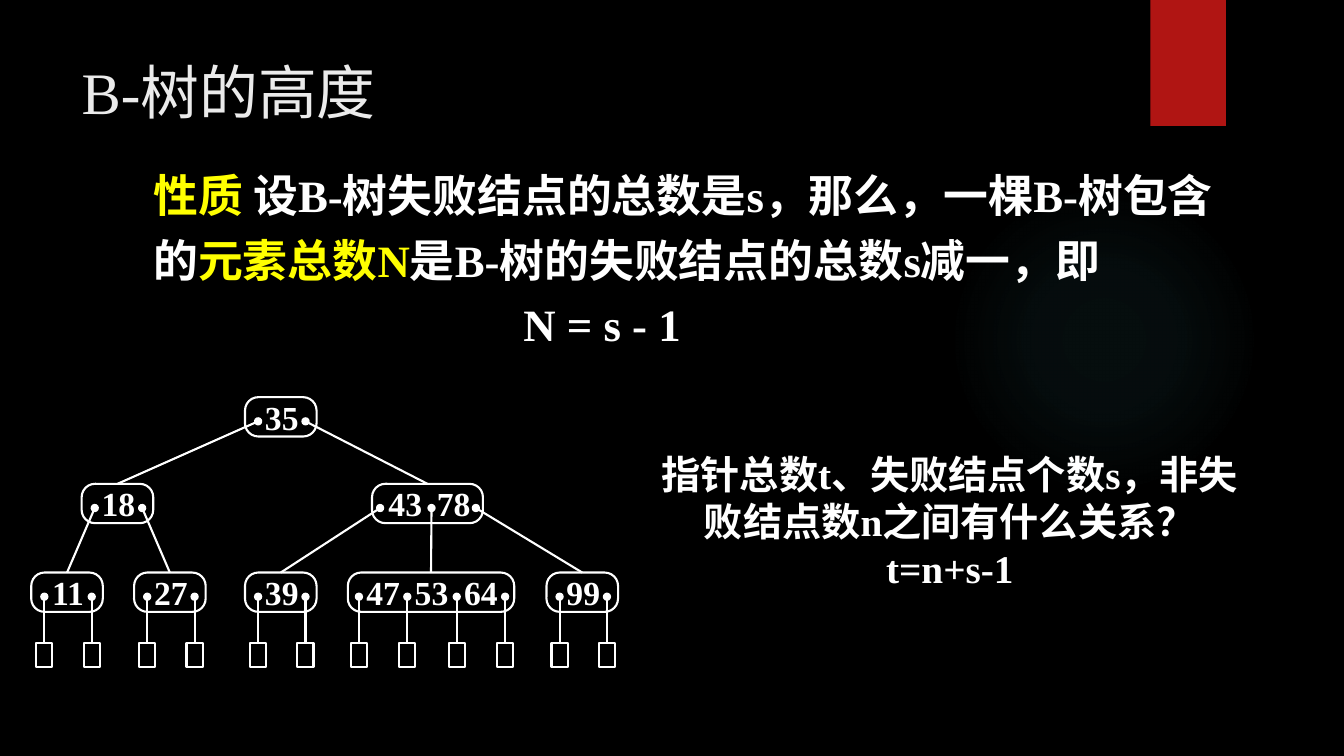
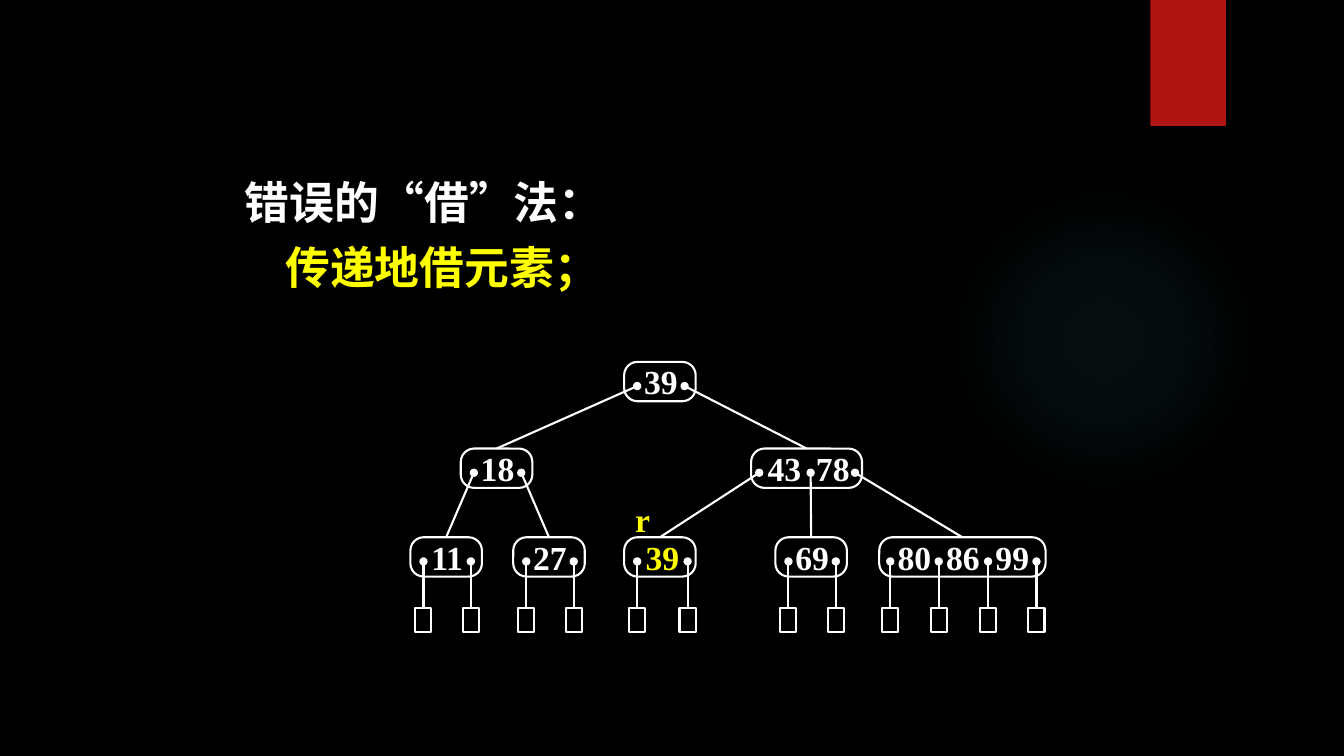
from dataclasses import dataclass
from itertools import pairwise

from lxml import etree
from pptx import Presentation
from pptx.dml.color import RGBColor
from pptx.enum import shapes, text
from pptx.oxml import parse_xml
from pptx.oxml.ns import nsdecls, qn
from pptx.util import Pt

PX = 9144
BLACK = RGBColor(0x00, 0x00, 0x00)
WHITE = RGBColor(0xFF, 0xFF, 0xFF)
YELLOW = RGBColor(0xFF, 0xFF, 0x00)
TITLE_GREY = RGBColor(0xEB, 0xEB, 0xEB)
RED = RGBColor(0xB0, 0x15, 0x13)
TEAL = RGBColor(0x50, 0xB9, 0xC1)
LATIN, HAN = "Times New Roman", "Noto Sans CJK SC"
LEVEL_TOPS = (0, 86, 174)
NODE_HEIGHT, POINTER_DROP, KEY_WIDTH = 39, 24, 40
FAILURE_TOP, FAILURE_WIDTH, FAILURE_HEIGHT = 244, 16, 24
NARROW, MIDDLE, WIDE = 71, 110, 165


@dataclass
class Node:
    """A tree node, with its left edge and pointers in px."""
    keys: tuple
    left: int
    width: int = NARROW
    pointers: tuple = (13, 60)
    children: tuple = ()
    color: RGBColor = WHITE


def emu(*lengths):
    """Turn px lengths into EMU."""
    return [length * PX for length in lengths]


def write(frame, paragraphs, size, color=WHITE, bold=True, align=text.PP_ALIGN.LEFT,
          spacing=1.0, indents=()):
    """Fill a frame with paragraphs, each a list of (words, colour or None) runs."""
    frame.word_wrap = True
    frame.auto_size = text.MSO_AUTO_SIZE.NONE
    for index, runs in enumerate(paragraphs):
        paragraph = frame.add_paragraph() if index else frame.paragraphs[0]
        properties = paragraph._p.get_or_add_pPr()
        properties.set("marL", str(indents[index] * PX if indents else 0))
        properties.set("indent", "0")
        etree.SubElement(properties, qn("a:buNone"))
        paragraph.alignment = align
        paragraph.line_spacing = spacing
        paragraph.space_before = Pt(0)
        for words, run_color in runs:
            run = paragraph.add_run()
            run.text = words
            run.font.name = LATIN
            run.font.size = Pt(size)
            run.font.bold = bold
            run.font.color.rgb = run_color or color
            etree.SubElement(run._r.get_or_add_rPr(), qn("a:ea"), typeface=HAN)


def place(placeholder, box):
    """Move a placeholder to a box and anchor its text at the top."""
    placeholder.left, placeholder.top, placeholder.width, placeholder.height = emu(*box)
    placeholder.text_frame.vertical_anchor = text.MSO_ANCHOR.TOP
    return placeholder.text_frame


def add_label(slide, box, paragraphs, **style):
    """Add a text box."""
    write(slide.shapes.add_textbox(*emu(*box)).text_frame, paragraphs, **style)


def write_key(frame, key, color, shift=0):
    """Centre a key in a frame without margins, moved right by half the shift."""
    frame.margin_left = shift * PX
    frame.margin_right = frame.margin_top = frame.margin_bottom = 0
    frame.vertical_anchor = text.MSO_ANCHOR.MIDDLE
    write(frame, [[(str(key), None)]], size=24, color=color, align=text.PP_ALIGN.CENTER)


def add_keys(slide, outline, node, left, top):
    """Set each key of a node midway between its two pointers."""
    if len(node.keys) == 1:
        write_key(outline.text_frame, node.keys[0], node.color,
                  shift=sum(node.pointers) - node.width)
        return
    for key, (start, end) in zip(node.keys, pairwise(node.pointers)):
        key_left = left + (start + end - KEY_WIDTH) // 2
        label = slide.shapes.add_textbox(*emu(key_left, top, KEY_WIDTH, NODE_HEIGHT))
        write_key(label.text_frame, key, node.color)


def add_outline(slide, kind, box):
    """Add an unfilled shape with a white outline."""
    shape = slide.shapes.add_shape(kind, *emu(*box))
    shape.shadow.inherit = False
    shape.fill.background()
    shape.line.color.rgb = WHITE
    shape.line.width = Pt(1.5)
    return shape


def add_pointer(slide, x, y, target):
    """Draw a line from a dot to the top of a target shape."""
    pointer = slide.shapes.add_connector(shapes.MSO_CONNECTOR.STRAIGHT, *emu(x, y, x, y))
    pointer.end_connect(target, 0)
    pointer.line.color.rgb = WHITE
    pointer.line.width = Pt(1.5)
    etree.SubElement(pointer.line._get_or_add_ln(), qn("a:headEnd"), type="oval")
    etree.SubElement(pointer._element.spPr, qn("a:effectLst"))


def add_tree(slide, origin, node, depth=0):
    """Draw a node with all that hangs below it and return its shape."""
    left, top = origin[0] + node.left, origin[1] + LEVEL_TOPS[depth]
    outline = add_outline(slide, shapes.MSO_SHAPE.ROUNDED_RECTANGLE,
                          (left, top, node.width, NODE_HEIGHT))
    outline.adjustments[0] = 0.34
    add_keys(slide, outline, node, left, top)
    for index, offset in enumerate(node.pointers):
        x = left + offset
        if node.children:
            target = add_tree(slide, origin, node.children[index], depth + 1)
        else:
            target = add_outline(slide, shapes.MSO_SHAPE.RECTANGLE,
                                 (x - FAILURE_WIDTH // 2, origin[1] + FAILURE_TOP,
                                  FAILURE_WIDTH, FAILURE_HEIGHT))
        add_pointer(slide, x, top + POINTER_DROP, target)
    return outline


def b_tree(root_key, *right_leaves):
    """Build the three-level tree around its differing root and right leaves."""
    return Node((root_key,), 212, children=(
        Node((18,), 50, children=(Node((11,), 0), Node((27,), 102))),
        Node((43, 78), 338, MIDDLE, (8, 59, 103), right_leaves)))


def wide_leaf(keys, left):
    """Build a leaf of three keys."""
    return Node(keys, left, WIDE, (11, 59, 108, 156))


def decorate_master(master, slide):
    """Give the master its background, glow and red band."""
    master.background.fill.solid()
    master.background.fill.fore_color.rgb = BLACK
    glow = slide.shapes.add_shape(shapes.MSO_SHAPE.OVAL, *emu(941, 183, 308, 308))
    band = slide.shapes.add_shape(shapes.MSO_SHAPE.RECTANGLE, *emu(1141, 0, 75, 125))
    band.fill.solid()
    band.fill.fore_color.rgb = RED
    stops = "".join(
        f'<a:gs pos="{position}000"><a:srgbClr val="{TEAL}"><a:alpha val="{alpha}000"/>'
        "</a:srgbClr></a:gs>" for position, alpha in ((0, 7), (36, 6), (69, 0)))
    glow._element.spPr.append(parse_xml(
        f'<a:gradFill {nsdecls("a")}><a:gsLst>{stops}</a:gsLst><a:path path="circle">'
        '<a:fillToRect l="50000" t="50000" r="50000" b="50000"/></a:path></a:gradFill>'))
    for shape in (glow, band):
        shape.line.fill.background()
        shape.shadow.inherit = False
        master.shapes.element.append(shape.element)


def height_slide(slide):
    """Fill the slide on the height of a B- tree."""
    write(place(slide.shapes.title, (71, 50, 1029, 153)), [[("B-树的高度", None)]],
          size=42, color=TITLE_GREY, bold=False)
    write(place(slide.placeholders[1], (142, 151, 1073, 274)), [
        [("性质 ", YELLOW), ("设B-树失败结点的总数是s，那么，一棵B-树包含的", None),
         ("元素总数N", YELLOW), ("是B-树的失败结点的总数s减一，即", None)],
        [("N = s - 1", None)]], size=32, spacing=1.2, indents=(0, 367))
    add_label(slide, (629, 442, 626, 151), [
        [("指针总数t、失败结点个数s，非失败结点数n之间有什么关系？", None)],
        [("t=n+s-1", None)]], size=28, align=text.PP_ALIGN.CENTER)
    add_tree(slide, (31, 394), b_tree(
        35, Node((39,), 212), wide_leaf((47, 53, 64), 314), Node((99,), 511)))


def borrowing_slide(slide):
    """Fill the slide on the wrong way of borrowing."""
    title = slide.shapes.title.element
    title.getparent().remove(title)
    write(place(slide.placeholders[1], (233, 158, 843, 131)), [
        [("错误的“借”法：", None)], [("传递地借元素；", YELLOW)]],
        size=32, spacing=1.2, indents=(0, 40))
    left, top = 407, 359
    add_tree(slide, (left, top), b_tree(
        39, Node((39,), 212, pointers=(13, 63), color=YELLOW),
        Node((69,), 362), wide_leaf((80, 86, 99), 465)))
    add_label(slide, (left + 213, top + 131, 39, 50), [[("r", None)]], size=24, color=YELLOW)


def main():
    """Build and save the slides."""
    deck = Presentation()
    deck.slide_width, deck.slide_height = emu(1333, 750)
    layout = deck.slide_layouts[1]
    height, borrowing = (deck.slides.add_slide(layout) for _ in range(2))
    decorate_master(deck.slide_master, height)
    height_slide(height)
    borrowing_slide(borrowing)
    deck.save("out.pptx")


if __name__ == "__main__":
    main()
